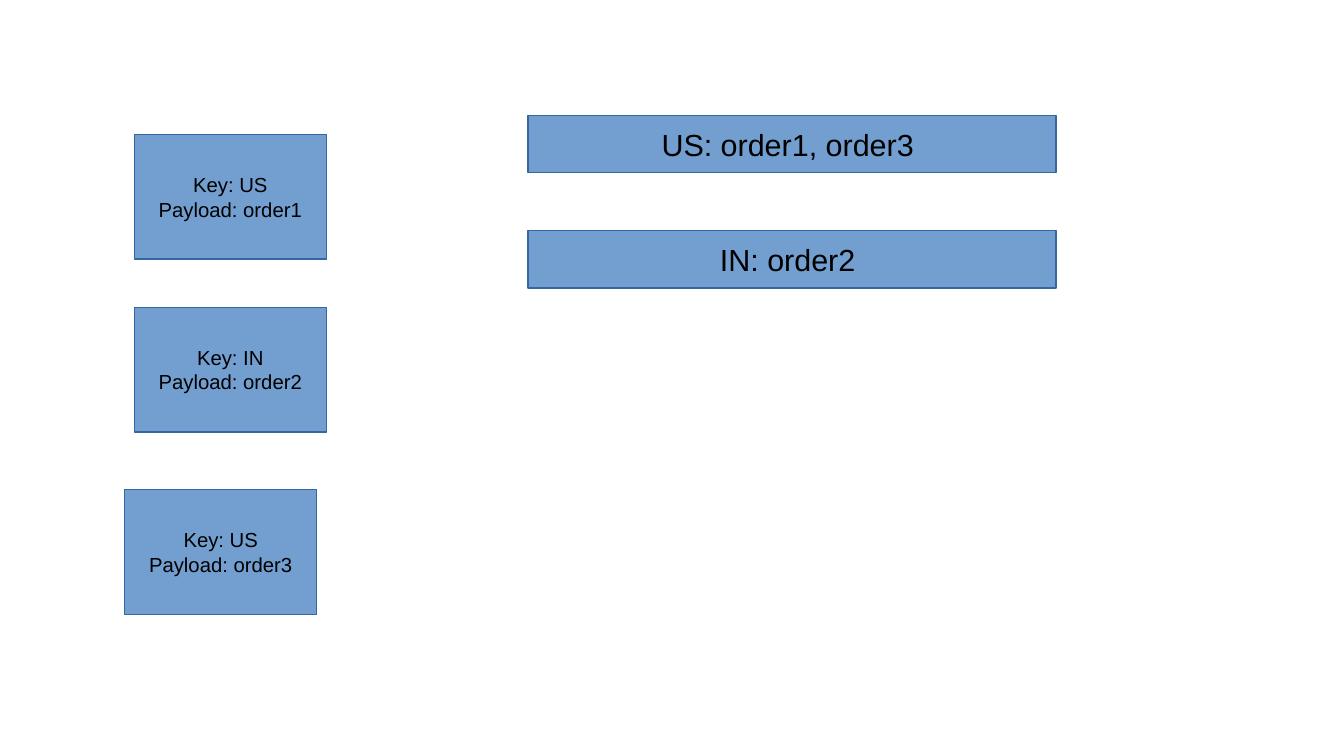
from pptx import Presentation
from pptx.dml.color import RGBColor
from pptx.enum.shapes import MSO_SHAPE
from pptx.enum.text import MSO_ANCHOR, PP_ALIGN
from pptx.util import Cm, Pt

RECTANGLE = MSO_SHAPE.RECTANGLE
MIDDLE = MSO_ANCHOR.MIDDLE
CENTER = PP_ALIGN.CENTER
BLANK_LAYOUT = 6


def color(hex_string):
    return RGBColor.from_string(hex_string)


def write_text(text_frame, text, *, size, font, font_color, align=CENTER):
    for index, line in enumerate(text.split("\n")):
        paragraph = text_frame.paragraphs[0] if index == 0 else text_frame.add_paragraph()
        paragraph.alignment = align
        run = paragraph.add_run()
        run.text = line
        run.font.size = Pt(size)
        run.font.name = font
        run.font.color.rgb = color(font_color)


class SlideBuilder:
    font = "Arial"
    text_color = "000000"
    fill_color = "729FCF"
    line_color = "3465A4"
    line_width = 0.75

    def __init__(self, slide):
        self.slide = slide

    def box(self, text, left, top, width, height, size):
        shape = self.slide.shapes.add_shape(
            RECTANGLE, Cm(left), Cm(top), Cm(width), Cm(height))
        shape.shadow.inherit = False
        shape.fill.solid()
        shape.fill.fore_color.rgb = color(self.fill_color)
        shape.line.color.rgb = color(self.line_color)
        shape.line.width = Pt(self.line_width)
        text_frame = shape.text_frame
        text_frame.word_wrap = False
        text_frame.vertical_anchor = MIDDLE
        write_text(text_frame, text, size=size, font=self.font,
                   font_color=self.text_color)

    def message(self, key, payload, left, top):
        self.box(f"Key: {key}\nPayload: {payload}", left, top, 4, 2.6, size=12)

    def partition(self, text, top):
        self.box(text, 11, top, 11, 1.2, size=18)


def main():
    presentation = Presentation()
    presentation.slide_width = Cm(28)
    presentation.slide_height = Cm(15.75)
    slide = presentation.slides.add_slide(presentation.slide_layouts[BLANK_LAYOUT])
    builder = SlideBuilder(slide)

    messages = [
        ("US", "order1", 2.8, 2.8),
        ("IN", "order2", 2.8, 6.4),
        ("US", "order3", 2.6, 10.2),
    ]
    for key, payload, left, top in messages:
        builder.message(key, payload, left, top)

    for index, text in enumerate(["US: order1, order3 ", "IN: order2 "]):
        builder.partition(text, 2.4 * (index + 1))

    presentation.save("out.pptx")


if __name__ == "__main__":
    main()
